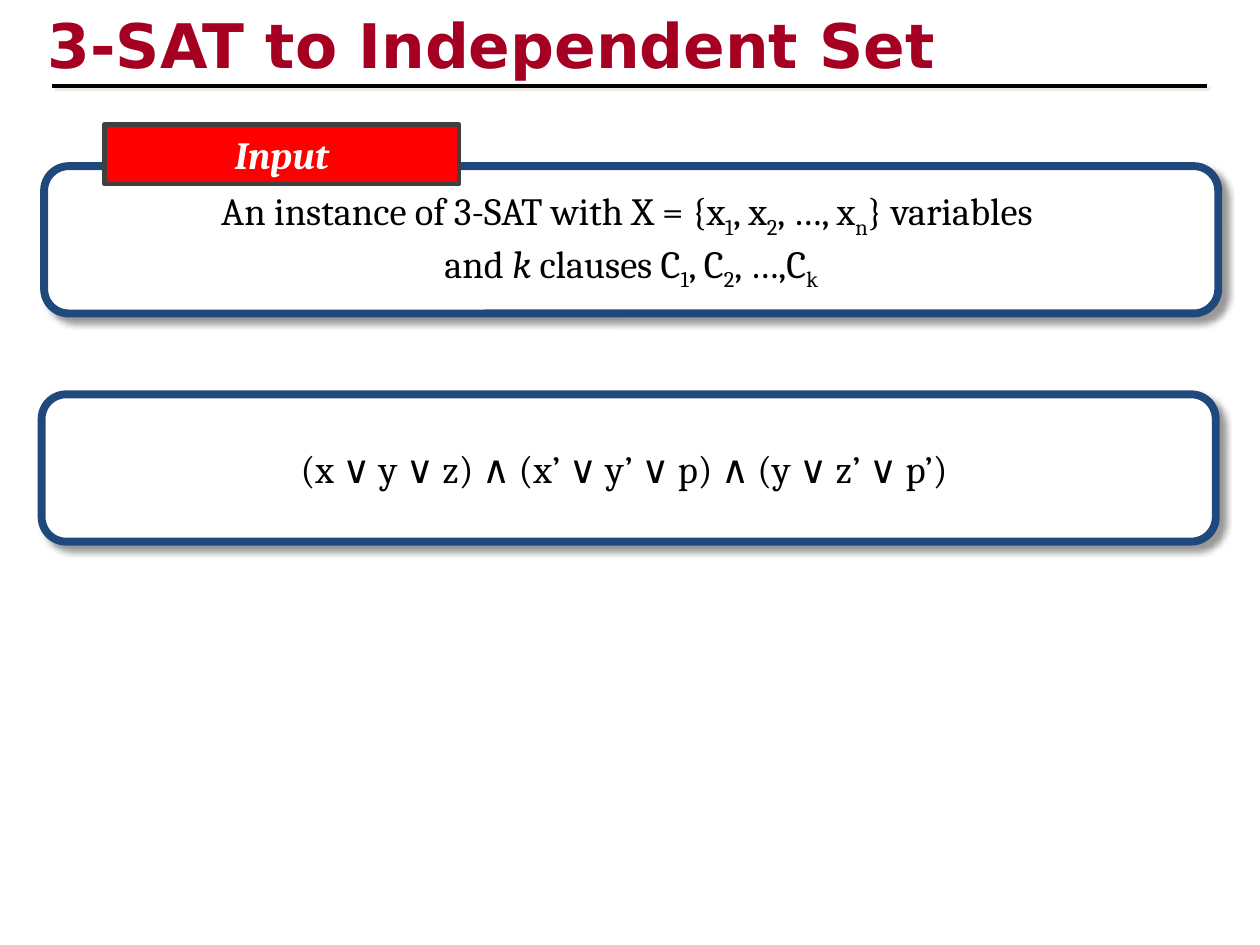
from pptx import Presentation
from pptx.dml.color import RGBColor
from pptx.enum.shapes import MSO_CONNECTOR, MSO_SHAPE
from pptx.enum.text import MSO_ANCHOR, MSO_AUTO_SIZE, PP_ALIGN
from pptx.oxml import parse_xml
from pptx.oxml.ns import nsdecls
from pptx.util import Cm, Pt

HUES = {"title": "A50021", "glow": "EEECE1", "ink": "000000", "paper": "FFFFFF",
        "frame": "1F497D", "tag": "FF0000", "edge": "404040"}
RGB = {name: RGBColor.from_string(code) for name, code in HUES.items()}


def shade(hue, alpha, blur, dist):
    """Return an effect list with one outer shadow cast down and right."""
    return parse_xml(
        f'<a:effectLst {nsdecls("a")}><a:outerShdw blurRad="{Pt(blur)}" '
        f'dist="{Pt(dist)}" dir="2700000" algn="tl" rotWithShape="0">'
        f'<a:srgbClr val="{HUES[hue]}"><a:alpha val="{alpha * 1000}"/></a:srgbClr>'
        '</a:outerShdw></a:effectLst>')


def write(shape, lines, hue, **style):
    """Fill a shape with centred lines of (text, mark) runs."""
    frame = shape.text_frame
    for i, line in enumerate(lines):
        para = frame.paragraphs[0] if i == 0 else frame.add_paragraph()
        para.alignment = PP_ALIGN.CENTER
        for text, mark in line:
            run = para.add_run()
            run.text = text
            looks = {"name": "Cambria", "size": Pt(22), **style}
            if mark == "italic":
                looks["italic"] = True
            for key, value in looks.items():
                setattr(run.font, key, value)
            run.font.color.rgb = RGB[hue]
            if mark == "sub":
                run.font._element.set("baseline", "-25000")


deck = Presentation()
deck.slide_width, deck.slide_height = Cm(25.4), Cm(19.05)
slide = deck.slides.add_slide(deck.slide_layouts[5])
shapes = slide.shapes

# Title with a pale text shadow
title = shapes.title
place = {"left": Cm(0.71), "top": Cm(0.03), "width": Cm(21.59), "height": Cm(1.7)}
for key, value in place.items():
    setattr(title, key, value)
frame = title.text_frame
frame.text = "3-SAT to Independent Set"
frame.word_wrap = True
frame.auto_size = MSO_AUTO_SIZE.NONE
frame.vertical_anchor = MSO_ANCHOR.MIDDLE
frame.paragraphs[0].alignment = PP_ALIGN.LEFT
font = frame.paragraphs[0].runs[0].font
for key, value in {"name": "DejaVu Sans", "size": Pt(35.1), "bold": True}.items():
    setattr(font, key, value)
font.color.rgb = RGB["title"]
font._element.insert(1, shade("glow", 100, 0, 2.8))

# Rule under the title
rule = shapes.add_connector(MSO_CONNECTOR.STRAIGHT, Cm(1.04), Cm(1.73), Cm(24.33), Cm(1.73))
rule.line.color.rgb = RGB["ink"]
rule.line.width = Pt(2.25)
rule._element.spPr.append(shade("glow", 100, 0, 2.8))

# Problem box, its tag, and the example formula
problem = [
    [("An instance of 3-SAT with X = {x", ""), ("1", "sub"), (", x", ""), ("2", "sub"),
     (", …, x", ""), ("n", "sub"), ("} variables ", "")],
    [("and ", ""), ("k", "italic"), (" clauses C", ""), ("1", "sub"), (", C", ""),
     ("2", "sub"), (", …,C", ""), ("k", "sub")],
]
formula = [[("(x ∨ y ∨ z) ∧ (x’ ∨ y’ ∨ p) ∧ (y ∨ z’ ∨ p’) ", "")]]

for left, top, lines in ((0.89, 3.35, problem), (0.84, 7.95, formula)):
    box = shapes.add_shape(MSO_SHAPE.ROUNDED_RECTANGLE, Cm(left), Cm(top), Cm(23.67), Cm(2.97))
    box.fill.solid()
    box.fill.fore_color.rgb = RGB["paper"]
    box.line.color.rgb = RGB["frame"]
    box.line.width = Pt(4.5)
    box._element.spPr.append(shade("ink", 40, 4, 4))
    box.text_frame.word_wrap = False
    box.text_frame.vertical_anchor = MSO_ANCHOR.MIDDLE
    write(box, lines, "ink")

tag = shapes.add_shape(MSO_SHAPE.RECTANGLE, Cm(2.11), Cm(2.51), Cm(7.14), Cm(1.2))
tag.shadow.inherit = False
tag.fill.solid()
tag.fill.fore_color.rgb = RGB["tag"]
tag.line.color.rgb = RGB["edge"]
tag.line.width = Pt(2.5)
tag.text_frame.word_wrap = True
tag.text_frame.vertical_anchor = MSO_ANCHOR.MIDDLE
write(tag, [[("Input", "")]], "paper", bold=True, italic=True)

deck.save("out.pptx")
